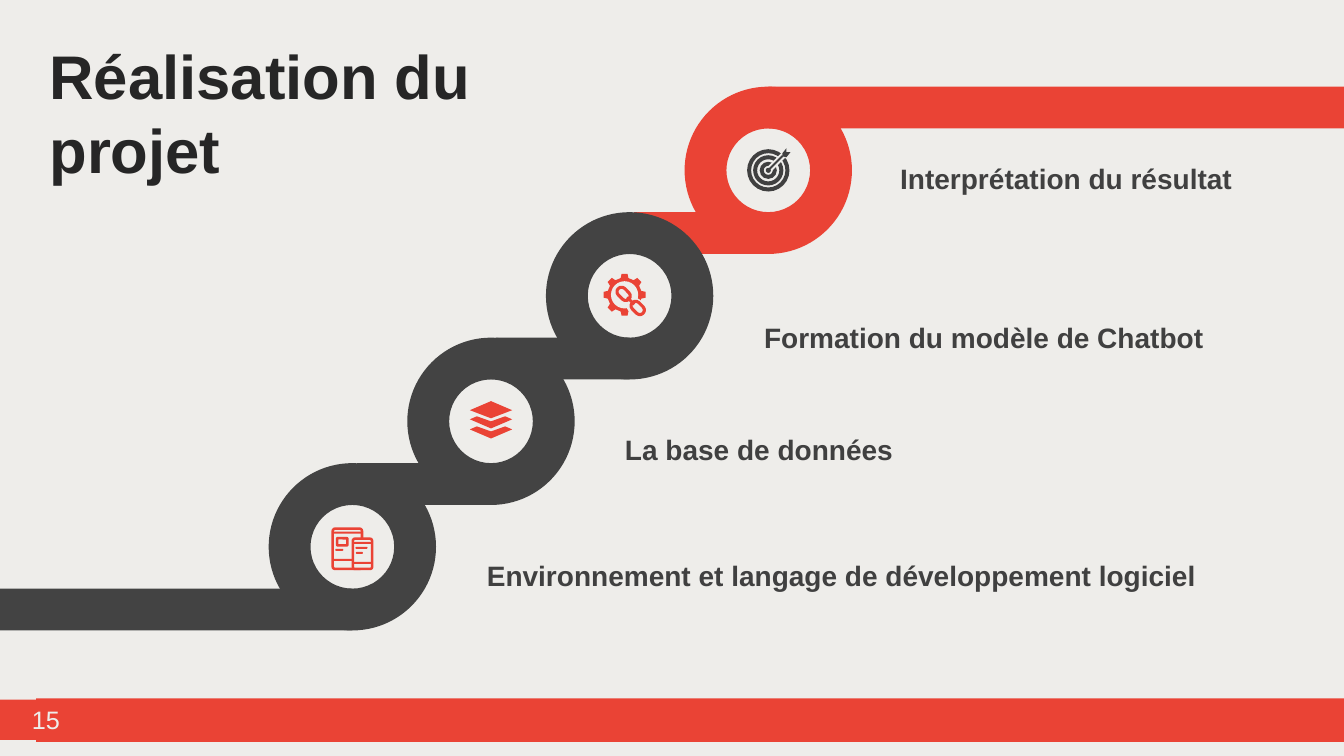
"""Builds the project roadmap slide: four rising steps with icons and labels."""
from dataclasses import dataclass
from math import cos, radians, sin

from pptx import Presentation
from pptx.dml.color import RGBColor
from pptx.enum.shapes import MSO_SHAPE
from pptx.enum.text import MSO_ANCHOR, MSO_AUTO_SIZE, PP_ALIGN
from pptx.shapes.autoshape import Shape
from pptx.shapes.shapetree import SlideShapes
from pptx.text.text import TextFrame
from pptx.util import Inches, Pt


@dataclass(frozen=True)
class Theme:
    font: str = "Arial"
    paper: str = "EEEDEA"
    red: str = "EA4335"
    road: str = "434343"
    ink: str = "404040"
    heading: str = "262626"
    title_size: int = 44
    label_size: int = 20
    number_size: int = 18


@dataclass(frozen=True)
class Part:
    shape: MSO_SHAPE
    x: float
    y: float
    width: float
    height: float
    fill: str | None
    line: str | None = None
    weight: float = 0
    angle: float = 0
    adjust: float | None = None


@dataclass(frozen=True)
class Outline:
    points: list[tuple[float, float]]
    fill: str


@dataclass(frozen=True)
class Step:
    label: str
    left: float
    top: float
    width: float
    color: str
    icon: list[Part | Outline]


THEME = Theme()
SLIDE_WIDTH = 13.33
DIAMETER = 1.66
BAND = DIAMETER / 4
RISE = DIAMETER - BAND
RUN = 1.375
FIRST_X = 7.62
FIRST_Y = 1.69
LINK_WIDTH = 1.33

RECT, ROUND = MSO_SHAPE.RECTANGLE, MSO_SHAPE.ROUNDED_RECTANGLE
OVAL, DONUT = MSO_SHAPE.OVAL, MSO_SHAPE.DONUT


def paint(shape: Shape, fill: str | None, line: str | None = None, weight: float = 0) -> None:
    """Give a shape its fill and outline, without a shadow."""
    shape.shadow.inherit = False
    if fill:
        shape.fill.solid()
        shape.fill.fore_color.rgb = RGBColor.from_string(fill)
    else:
        shape.fill.background()
    if line:
        shape.line.color.rgb = RGBColor.from_string(line)
        shape.line.width = Pt(weight)
    else:
        shape.line.fill.background()


def draw_part(shapes: SlideShapes, part: Part, x: float = 0, y: float = 0) -> Shape:
    """Draw a preset shape around its centre, offset from x and y."""
    left, top = x + part.x - part.width / 2, y + part.y - part.height / 2
    shape = shapes.add_shape(part.shape, *map(Inches, (left, top, part.width, part.height)))
    shape.rotation = part.angle
    if part.adjust is not None:
        shape.adjustments[0] = part.adjust
    paint(shape, part.fill, part.line, part.weight)
    return shape


def draw_outline(shapes: SlideShapes, outline: Outline, x: float, y: float) -> None:
    """Draw a closed polygon whose points are offsets from x and y."""
    points = [(Inches(x + dx), Inches(y + dy)) for dx, dy in outline.points]
    builder = shapes.build_freeform(*points[0])
    builder.add_line_segments(points[1:], close=True)
    paint(builder.convert_to_shape(), outline.fill)


def draw_band(shapes: SlideShapes, left: float, right: float, y: float, color: str) -> Shape:
    """Draw a horizontal stretch of road centred on y."""
    return draw_part(shapes, Part(RECT, (left + right) / 2, y, right - left, BAND, color))


def write(frame: TextFrame, text: str, size: int, color: str, bold: bool = True,
          align: PP_ALIGN = PP_ALIGN.LEFT, anchor: MSO_ANCHOR = MSO_ANCHOR.TOP) -> None:
    """Fill a text frame with one formatted paragraph."""
    frame.text = text
    layout = {"word_wrap": True, "auto_size": MSO_AUTO_SIZE.NONE, "vertical_anchor": anchor}
    for name, value in layout.items():
        setattr(frame, name, value)
    paragraph = frame.paragraphs[0]
    paragraph.alignment = align
    font = paragraph.runs[0].font
    for name, value in {"name": THEME.font, "size": Pt(size), "bold": bold}.items():
        setattr(font, name, value)
    font.color.rgb = RGBColor.from_string(color)


def gear_points(x: float, y: float, teeth: int = 8) -> list[tuple[float, float]]:
    """Return the toothed rim of a gear centred on x and y."""
    rim = ((-13, 0.17), (-8, 0.21), (8, 0.21), (13, 0.17))
    return [(x + radius * cos(radians(tooth * 360 / teeth + turn)),
             y + radius * sin(radians(tooth * 360 / teeth + turn)))
            for tooth in range(teeth) for turn, radius in rim]


def dash(x: float, y: float, width: float) -> Part:
    """Return a short rounded stroke of an icon."""
    return Part(ROUND, x, y, width, 0.02, THEME.red, adjust=0.5)


def chain_link(x: float, y: float) -> Part:
    """Return one slanted link of the chain."""
    return Part(ROUND, x, y, 0.15, 0.09, None, THEME.red, 2.2, 45, 0.5)


def target_icon() -> list[Part | Outline]:
    """Return the target with its dart."""
    rings = [Part(DONUT, 0, 0, size, size, THEME.ink, adjust=0.04 / size)
             for size in (0.42, 0.3, 0.17)]
    return rings + [
        Part(RECT, 0.1, -0.1, 0.28, 0.06, THEME.paper, angle=315),
        Part(OVAL, 0, 0, 0.05, 0.05, THEME.ink),
        Part(RECT, 0.07, -0.07, 0.21, 0.02, THEME.ink, angle=315),
        Outline([(0.18, -0.22), (0.18, -0.18), (0.22, -0.18), (0.18, -0.13),
                 (0.14, -0.14), (0.14, -0.17)], THEME.ink)]


def gear_icon() -> list[Part | Outline]:
    """Return the gear with a chain across it."""
    return [Outline(gear_points(-0.05, -0.01), THEME.red),
            Part(OVAL, -0.05, -0.01, 0.27, 0.27, THEME.paper),
            Part(ROUND, 0.07, 0.12, 0.23, 0.16, THEME.paper, angle=45, adjust=0.5),
            chain_link(-0.06, -0.02), chain_link(0.08, 0.12),
            Part(RECT, 0.01, 0.05, 0.1, 0.03, THEME.red, angle=45)]


def layers_icon() -> list[Part | Outline]:
    """Return the stack of three layers."""
    sheet = [(-0.21, -0.02), (-0.14, -0.05), (0, 0), (0.14, -0.05), (0.21, -0.02), (0, 0.07)]
    top = [(0, -0.2), (0.21, -0.11), (0, -0.03), (-0.21, -0.11)]
    return [Outline(top, THEME.red)] + [
        Outline([(x, y + drop) for x, y in sheet], THEME.red) for drop in (0, 0.1)]


def devices_icon() -> list[Part | Outline]:
    """Return the tablet with a phone in front."""
    return [Part(ROUND, -0.05, 0.02, 0.29, 0.4, None, THEME.red, 1.8, adjust=0.08),
            dash(-0.05, -0.14, 0.29), dash(-0.05, 0.13, 0.29),
            Part(ROUND, -0.1, -0.05, 0.1, 0.07, None, THEME.red, 1.8, adjust=0.05),
            dash(-0.13, 0.03, 0.08),
            Part(ROUND, 0.1, 0.07, 0.19, 0.3, THEME.paper, THEME.red, 1.8, adjust=0.1),
            dash(0.1, -0.04, 0.19), dash(0.1, 0.16, 0.19),
            dash(0.09, 0.01, 0.12), dash(0.07, 0.06, 0.07)]


STEPS = [
    Step("Interprétation du résultat", 8.83, 1.55, 3.97, THEME.red, target_icon()),
    Step("Formation du modèle de Chatbot", 7.48, 3.13, 5.78, THEME.road, gear_icon()),
    Step("La base de données", 6.1, 4.24, 4.03, THEME.road, layers_icon()),
    Step("Environnement et langage de développement logiciel", 4.73, 5.49, 7.59,
         THEME.road, devices_icon()),
]


def draw_step(shapes: SlideShapes, index: int, step: Step) -> None:
    """Draw a ring with the road leading to it, its icon and its label."""
    x, y = FIRST_X - index * RUN, FIRST_Y + index * RISE
    start = 0 if index == len(STEPS) - 1 else x - LINK_WIDTH
    draw_band(shapes, start, x, y + RISE / 2, step.color)
    draw_part(shapes, Part(DONUT, x, y, DIAMETER, DIAMETER, step.color, adjust=0.25))
    if index == 0:
        draw_band(shapes, x, SLIDE_WIDTH, y - RISE / 2, step.color)
    for piece in step.icon:
        draw = draw_part if isinstance(piece, Part) else draw_outline
        draw(shapes, piece, x, y)
    label = shapes.add_textbox(*map(Inches, (step.left, step.top, step.width, 0.44)))
    write(label.text_frame, step.label, THEME.label_size, THEME.ink)


def main() -> None:
    """Build the slide and save it."""
    deck = Presentation()
    deck.slide_width, deck.slide_height = Inches(SLIDE_WIDTH), Inches(7.5)
    slide = deck.slides.add_slide(deck.slide_layouts[5])
    slide.background.fill.solid()
    slide.background.fill.fore_color.rgb = RGBColor.from_string(THEME.paper)
    title = slide.shapes.title
    for name, value in {"left": 0.39, "top": 0.32, "width": 4.45, "height": 1.58}.items():
        setattr(title, name, Inches(value))
    write(title.text_frame, "Réalisation du projet", THEME.title_size, THEME.heading,
          anchor=MSO_ANCHOR.MIDDLE)
    for index, step in enumerate(STEPS):
        draw_step(slide.shapes, index, step)
    draw_part(slide.shapes, Part(RECT, 6.845, 7.145, 12.97, 0.43, THEME.red))
    page_number = draw_part(slide.shapes, Part(RECT, 0.455, 7.14, 0.91, 0.4, THEME.red))
    write(page_number.text_frame, "15", THEME.number_size, THEME.paper, False,
          PP_ALIGN.CENTER, MSO_ANCHOR.MIDDLE)
    deck.save("out.pptx")


if __name__ == "__main__":
    main()
